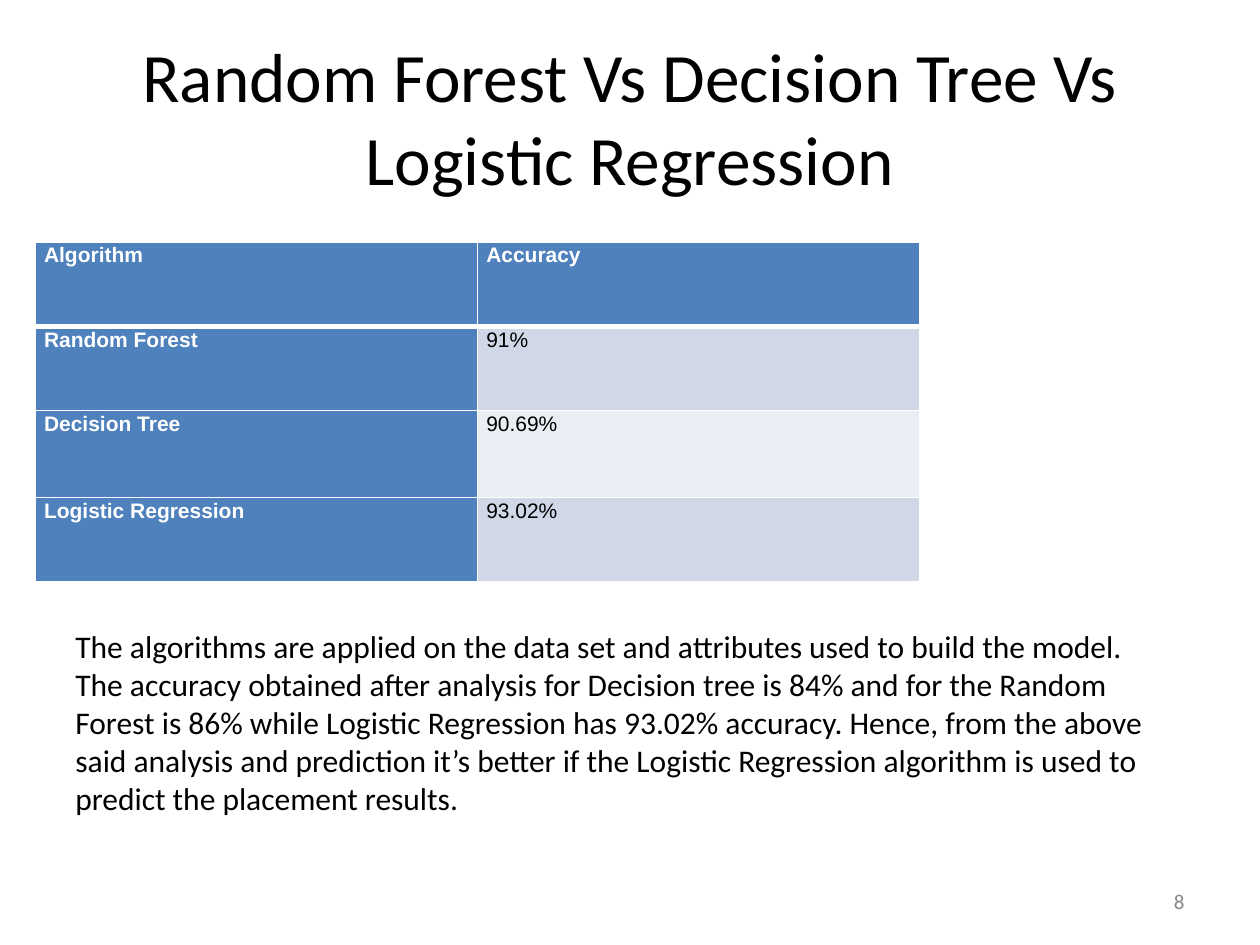
from dataclasses import dataclass

from lxml import etree
from pptx import Presentation
from pptx.dml.color import RGBColor
from pptx.enum import text
from pptx.oxml.ns import qn
from pptx.util import Pt


@dataclass(frozen=True)
class Theme:
    """Colours, fonts and type sizes of the slide."""
    ink: str = "000000"
    white: str = "FFFFFF"
    muted: str = "888888"
    accent: str = "4F81BD"
    bands: tuple = ("D0D8E8", "E9EDF4")
    font: str = "Calibri"
    table_font: str = "Arial"
    title: float = 39.6
    body: float = 18
    small: float = 12


T = Theme()
ROWS = [
    ("Algorithm", "Accuracy"),
    ("Random Forest", "91%"),
    ("Decision Tree", "90.69%"),
    ("Logistic Regression", "93.02%"),
]
ROW_HEIGHTS = (48.24, 48.24, 49.68, 48.24)
SUMMARY = (
    "The algorithms are applied on the data set and attributes used to build the model. "
    "The accuracy obtained after analysis for Decision tree is 84% and for the Random "
    "Forest is 86% while Logistic Regression has 93.02% accuracy. Hence, from the above "
    "said analysis and prediction it’s better if the Logistic Regression algorithm is used "
    "to predict the placement results."
)


def set_attrs(obj, **values):
    """Set each named attribute on an object."""
    for name, value in values.items():
        setattr(obj, name, value)


def write(p, words, size, color, font=T.font, bold=False):
    """Add one formatted run to a paragraph."""
    r = p.add_run()
    r.text = words
    set_attrs(r.font, size=Pt(size), name=font, bold=bold)
    r.font.color.rgb = RGBColor.from_string(color)


def add_text(s, box, words, size, color=T.ink, align=text.PP_ALIGN.LEFT,
             anchor=text.MSO_ANCHOR.MIDDLE):
    """Place a wrapped text box in the given box."""
    tf = s.shapes.add_textbox(*map(Pt, box)).text_frame
    set_attrs(tf, word_wrap=True, vertical_anchor=anchor)
    p = tf.paragraphs[0]
    p.alignment = align
    write(p, words, size, color)


def set_borders(cell, widths):
    """Draw white cell borders with the given widths by side."""
    tc_pr = cell._tc.get_or_add_tcPr()
    for side, width in widths.items():
        ln = etree.SubElement(tc_pr, qn(f"a:ln{side}"), w=str(Pt(width)))
        fill = etree.SubElement(ln, qn("a:solidFill"))
        etree.SubElement(fill, qn("a:srgbClr"), val=T.white)


def add_accuracy_table(s, box):
    """Place the accuracy table with header row, header column and bands."""
    table = s.shapes.add_table(len(ROWS), len(ROWS[0]), *map(Pt, box)).table
    for row, height in zip(table.rows, ROW_HEIGHTS):
        row.height = Pt(height)
    for i, values in enumerate(ROWS):
        for j, value in enumerate(values):
            cell = table.cell(i, j)
            header = i == 0 or j == 0
            set_attrs(cell, margin_left=Pt(5.04), margin_right=Pt(5.04),
                      margin_top=0, margin_bottom=0)
            set_borders(cell, {"L": 1, "R": 1, "T": 3 if i == 1 else 1,
                               "B": 3 if i == 0 else 1})
            cell.fill.solid()
            color = T.accent if header else T.bands[(i - 1) % 2]
            cell.fill.fore_color.rgb = RGBColor.from_string(color)
            p = cell.text_frame.paragraphs[0]
            set_attrs(p, line_spacing=1.07, space_after=Pt(8))
            write(p, value, T.small, T.white if header else T.ink, T.table_font, header)


def add_comparison_slide(prs):
    """Build the model comparison slide."""
    s = prs.slides.add_slide(prs.slide_layouts[6])
    add_text(s, (36, 21.6, 648, 90), "Random Forest Vs Decision Tree Vs Logistic Regression",
             T.title, align=text.PP_ALIGN.CENTER)
    add_text(s, (516.24, 500.4, 167.76, 28.8), "8", T.small, T.muted, text.PP_ALIGN.RIGHT)
    add_accuracy_table(s, (20.16, 138.24, 505.44, sum(ROW_HEIGHTS)))
    add_text(s, (36, 354.96, 638.64, 133.2), SUMMARY, T.body, anchor=text.MSO_ANCHOR.TOP)


def main():
    """Create and save the presentation."""
    prs = Presentation()
    set_attrs(prs, slide_width=Pt(720), slide_height=Pt(540))
    add_comparison_slide(prs)
    prs.save("out.pptx")


if __name__ == "__main__":
    main()
